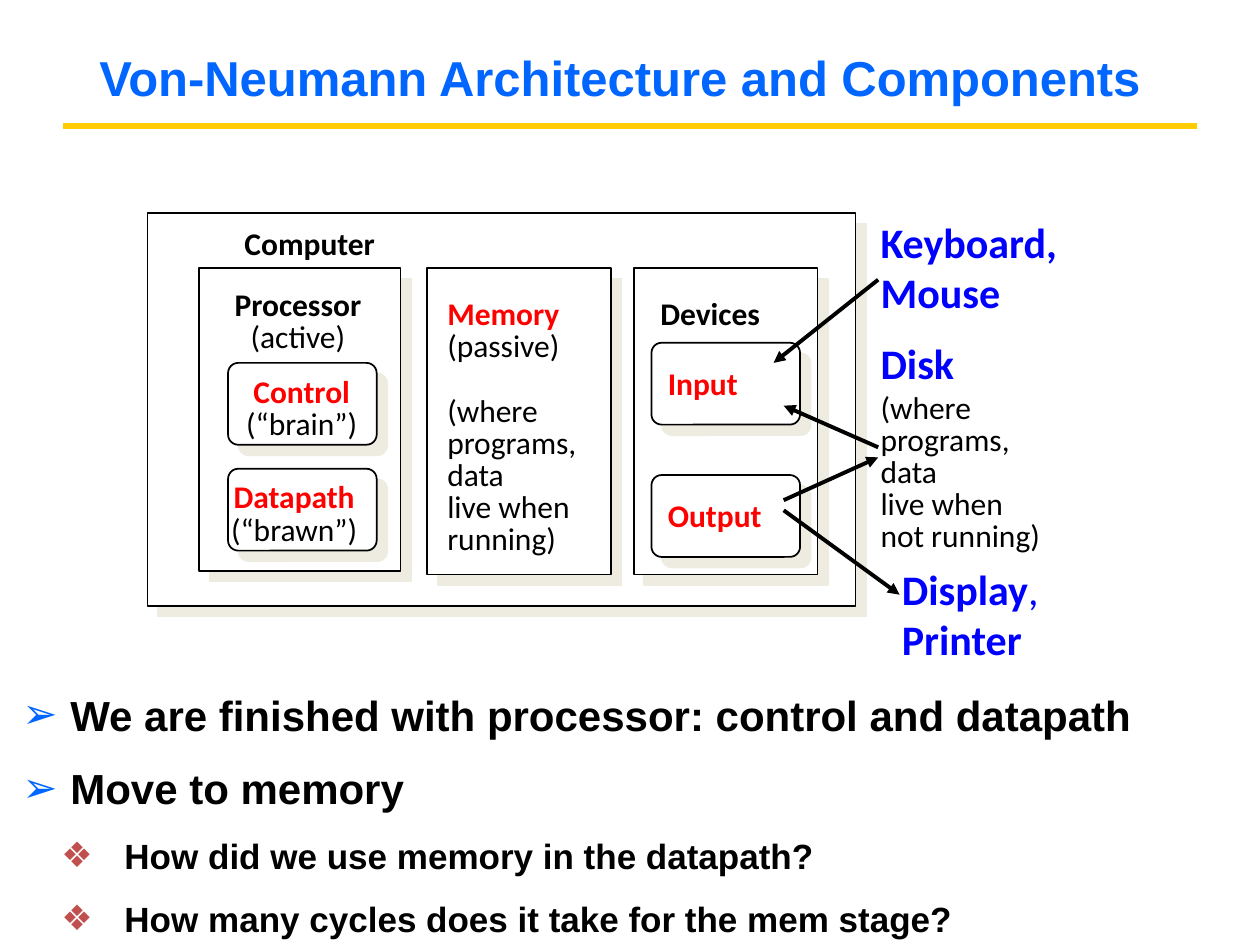
from lxml import etree
from pptx import Presentation
from pptx import util as u
from pptx.dml.color import RGBColor
from pptx.enum import shapes, text
from pptx.oxml import ns

BLACK = RGBColor(0x00, 0x00, 0x00)
WHITE = RGBColor(0xFF, 0xFF, 0xFF)
RED = RGBColor(0xFF, 0x00, 0x00)
BLUE = RGBColor(0x00, 0x00, 0xFF)
TITLE_BLUE = RGBColor(0x00, 0x66, 0xFF)
GOLD = RGBColor(0xFF, 0xCC, 0x00)
BRICK = RGBColor(0xC0, 0x50, 0x4D)
SHADOW = RGBColor(0xEE, 0xEC, 0xE1)

COLS, ROWS = 100, 75  # square grid cells over the slide
CELL = u.Inches(0.1)
CENTER = text.PP_ALIGN.CENTER
TIGHT = 0.85


def cells(*values):
    return [u.Emu(round(v * CELL)) for v in values]


def inside(box, x, y, w, h):
    """Box given in cells from the corner of another box."""
    return box[0] + x, box[1] + y, w, h


def sub(parent, tag, **attrs):
    return etree.SubElement(parent, ns.qn(tag), attrs)


def add_frame(s, box, margins=(0.1, 0.05), wrap=False):
    tf = s.shapes.add_textbox(*cells(*box)).text_frame
    tf.word_wrap = wrap
    if not wrap:
        tf.auto_size = text.MSO_AUTO_SIZE.SHAPE_TO_FIT_TEXT
    tf.margin_left = tf.margin_right = u.Inches(margins[0])
    tf.margin_top = tf.margin_bottom = u.Inches(margins[1])
    return tf


def write(tf, words, new=True, size=18, font="Calibri", color=BLACK, bold=False,
          align=None, spacing=1.0, before=0, bullet=None, level=0, indent=0):
    """Add a paragraph, or with new=False a run to the last one."""
    p = tf.paragraphs[-1]
    if new:
        if p.runs:
            p = tf.add_paragraph()
        p.alignment, p.line_spacing, p.level = align, spacing, level
        p.space_before = u.Pt(before)
        if bullet:
            mark, mark_color = bullet
            pr = p._p.get_or_add_pPr()
            pr.set("marL", str(u.Inches(indent)))
            pr.set("indent", str(u.Inches(-0.5)))
            sub(sub(pr, "a:buClr"), "a:srgbClr", val=str(mark_color))
            sub(pr, "a:buFont", typeface="Arial")
            sub(pr, "a:buChar", char=mark)
    for i, line in enumerate(words.split("\n")):
        if i:
            p.add_line_break()
        if line:
            r = p.add_run()
            r.text = line
            r.font.size, r.font.name, r.font.bold = u.Pt(size), font, bold
            r.font.color.rgb = color


def add_label(s, box, head, *lines, color=BLACK, align=None):
    """Bold heading with plain lines under it."""
    tf = add_frame(s, box, margins=(0.07, 0.03))
    write(tf, head, color=color, bold=True, align=align, spacing=TIGHT)
    for line in lines:
        write(tf, line, align=align, spacing=TIGHT)
    return tf


def add_panel(s, box, rounded=False):
    kind = shapes.MSO_SHAPE.ROUNDED_RECTANGLE if rounded else shapes.MSO_SHAPE.RECTANGLE
    sp = s.shapes.add_shape(kind, *cells(*box))
    if rounded:
        sp.adjustments[0] = 0.125
    sp.fill.solid()
    sp.fill.fore_color.rgb = WHITE
    sp.line.color.rgb = BLACK
    sp.line.width = u.Pt(1)
    # Hard offset shadow, down to the right
    sp.shadow.inherit = False
    effects = sp._element.spPr.find(ns.qn("a:effectLst"))
    shadow = sub(effects, "a:outerShdw", blurRad="0", dist=str(u.Pt(8.5)),
                 dir=str(45 * 60000), algn="ctr", rotWithShape="0")
    sub(shadow, "a:srgbClr", val=str(SHADOW))


def add_line(s, start, end, color=BLACK, width=2.25, arrow=True):
    c = s.shapes.add_connector(shapes.MSO_CONNECTOR.STRAIGHT, *cells(*start, *end))
    c.line.color.rgb = color
    c.line.width = u.Pt(width)
    if arrow:
        sub(c.line._get_or_add_ln(), "a:tailEnd", type="triangle")
    sub(c._element.spPr, "a:effectLst")


def title(s, box):
    tf = add_frame(s, box, wrap=True)
    tf.vertical_anchor = text.MSO_ANCHOR.MIDDLE
    write(tf, "Von-Neumann Architecture and Components", size=28, font="Arial",
          color=TITLE_BLUE, bold=True, align=CENTER)
    add_line(s, (5, 10), (COLS - 5, 10), color=GOLD, width=3, arrow=False)


def processor(s, box):
    add_panel(s, box)
    add_label(s, inside(box, 0.7, 1.5, 14.3, 5.7), "Processor", "(active)", align=CENTER)
    parts = [("Control", "(“brain”)", 3, 10.3), ("Datapath", "(“brawn”)", 1.8, 11.5)]
    for i, (name, role, x, w) in enumerate(parts):
        y = 7.5 + 8.4 * i
        add_panel(s, inside(box, 2.3, y, 11.8, 6.5), rounded=True)
        add_label(s, inside(box, x, y + 0.85, w, 5.7), name, role, color=RED, align=CENTER)


def memory(s, box):
    add_panel(s, box)
    tf = add_label(s, inside(box, 0.9, 2.2, 12.3, 21.2), "Memory", "(passive)", color=RED)
    write(tf, "(where", spacing=TIGHT, before=18.6)
    for line in ("programs,", "data", "live when", "running)"):
        write(tf, line, spacing=TIGHT)


def devices(s, box):
    add_panel(s, box)
    add_label(s, inside(box, 1.4, 2.2, 10.8, 3.1), "Devices")
    for i, (name, w) in enumerate([("Input", 7), ("Output", 8.9)]):
        y = 5.9 + 10.5 * i
        add_panel(s, inside(box, 1.4, y, 11.8, 6.5), rounded=True)
        add_label(s, inside(box, 2, y + 1.85, w, 3.2), name, color=RED)


def computer(s, box):
    add_panel(s, box)
    add_label(s, inside(box, 7, 1, 13.2, 3.1), "Computer")
    processor(s, inside(box, 4.1, 4.4, 16, 24))
    memory(s, inside(box, 22.2, 4.4, 14.6, 24.3))
    devices(s, inside(box, 38.6, 4.4, 14.6, 24.3))


def peripherals(s, box):
    head = dict(size=24, color=BLUE, bold=True)
    write(add_frame(s, inside(box, 0, 0, 19.2, 9)), "Keyboard,\nMouse", **head)

    tf = add_frame(s, inside(box, 0, 9.6, 18.3, 18.2), wrap=True)
    write(tf, "Disk\n", **head)
    write(tf, "(where", new=False)
    for line in ("programs,", "data", "live when", "not running)"):
        write(tf, line, spacing=TIGHT)

    tf = add_frame(s, inside(box, 1.7, 27.5, 15.7, 9))
    write(tf, "Display", **head)
    write(tf, ",\n", new=False, size=24, color=BLUE)
    write(tf, "Printer", new=False, **head)


def data_flow(s):
    for start, end in [((62.2, 40.5), (71.4, 47.2)),   # output to display
                       ((69.7, 22.2), (61.4, 28.8)),   # keyboard to input
                       ((69.7, 35.5), (62.2, 32.2)),   # disk to input
                       ((62.2, 39.7), (69.7, 36.3))]:  # output to disk
        add_line(s, start, end)


def summary(s, box):
    tf = add_frame(s, box, wrap=True)
    styles = [dict(size=24, bullet=("➢", TITLE_BLUE), indent=0.38),
              dict(size=20, bullet=("❖", BRICK), indent=0.81)]
    points = [(0, "We are finished with processor: control and datapath"),
              (0, "Move to memory"),
              (1, "How did we use memory in the datapath?"),
              (1, "How many cycles does it take for the mem stage?")]
    for i, (level, words) in enumerate(points):
        write(tf, words, font="Arial", bold=True, spacing=1.25,
              before=6 if i else 0, level=level, **styles[level])


def main():
    prs = Presentation()
    prs.slide_width, prs.slide_height = cells(COLS, ROWS)
    s = prs.slides.add_slide(prs.slide_layouts[6])
    title(s, (1.7, 3, 95, 6.2))
    summary(s, (0.8, 53.2, 98.3, 16.8))
    computer(s, (11.7, 16.9, 56.2, 31.2))
    peripherals(s, (68.9, 16.7, 19.2, 36.5))
    data_flow(s)
    prs.save("out.pptx")


if __name__ == "__main__":
    main()
